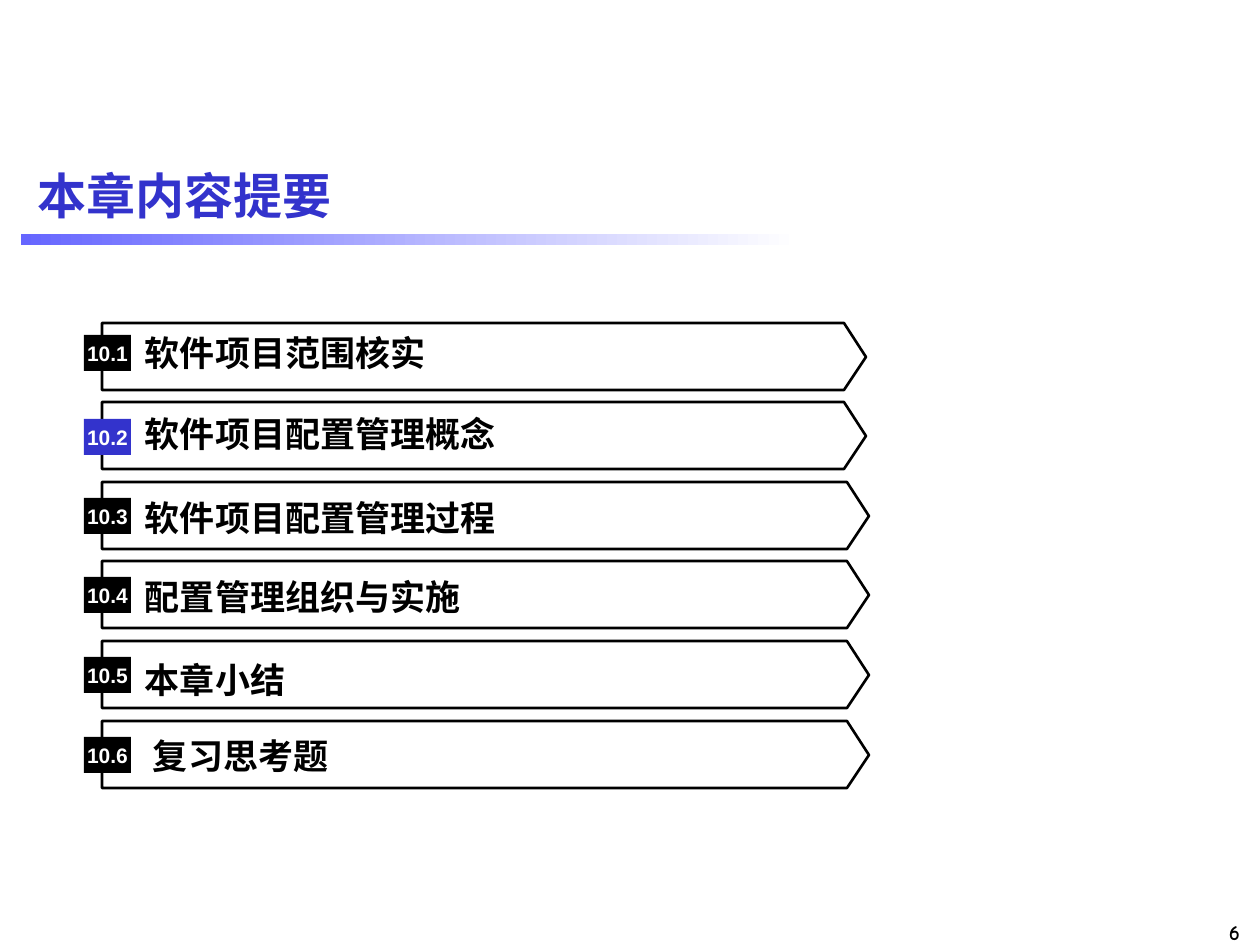
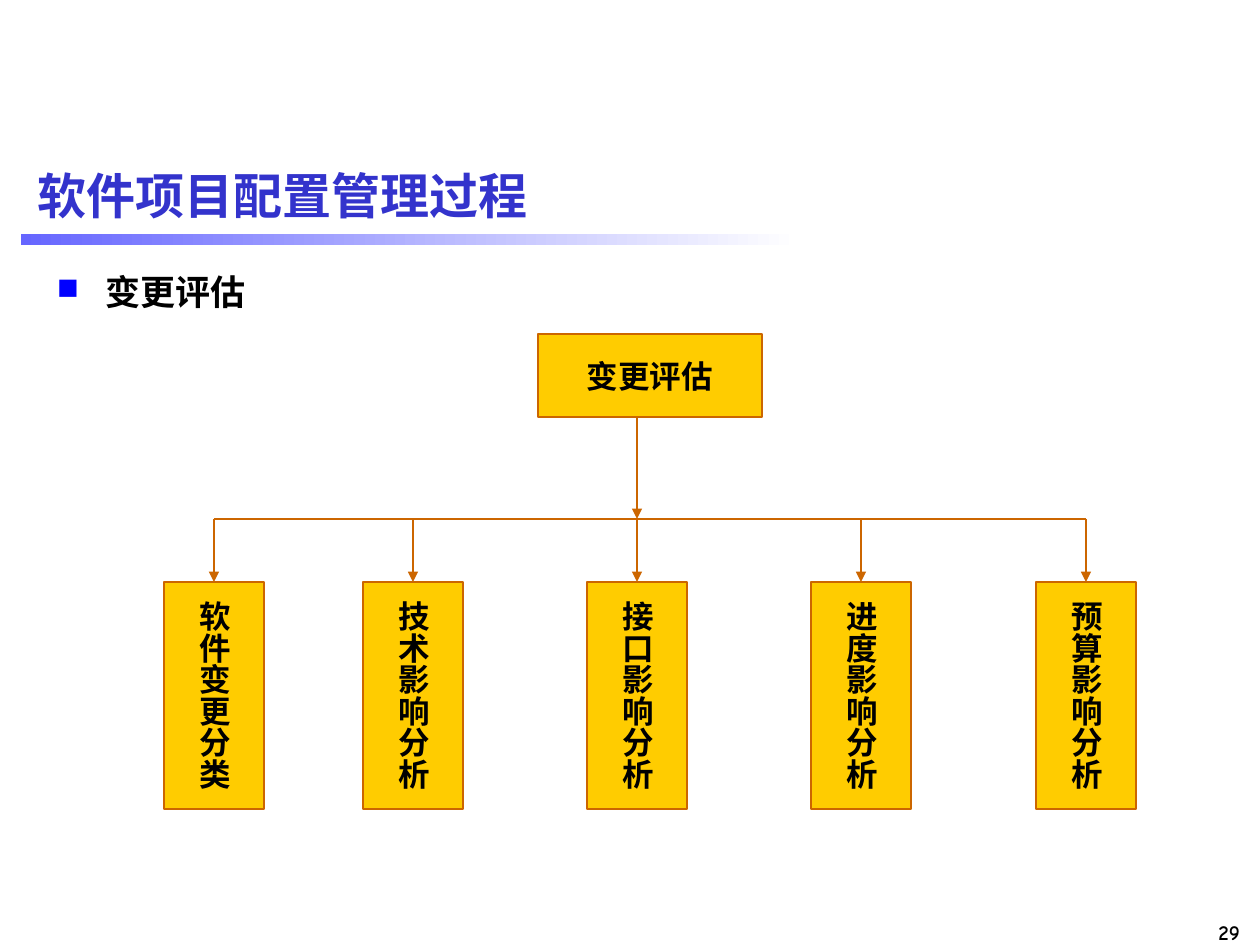
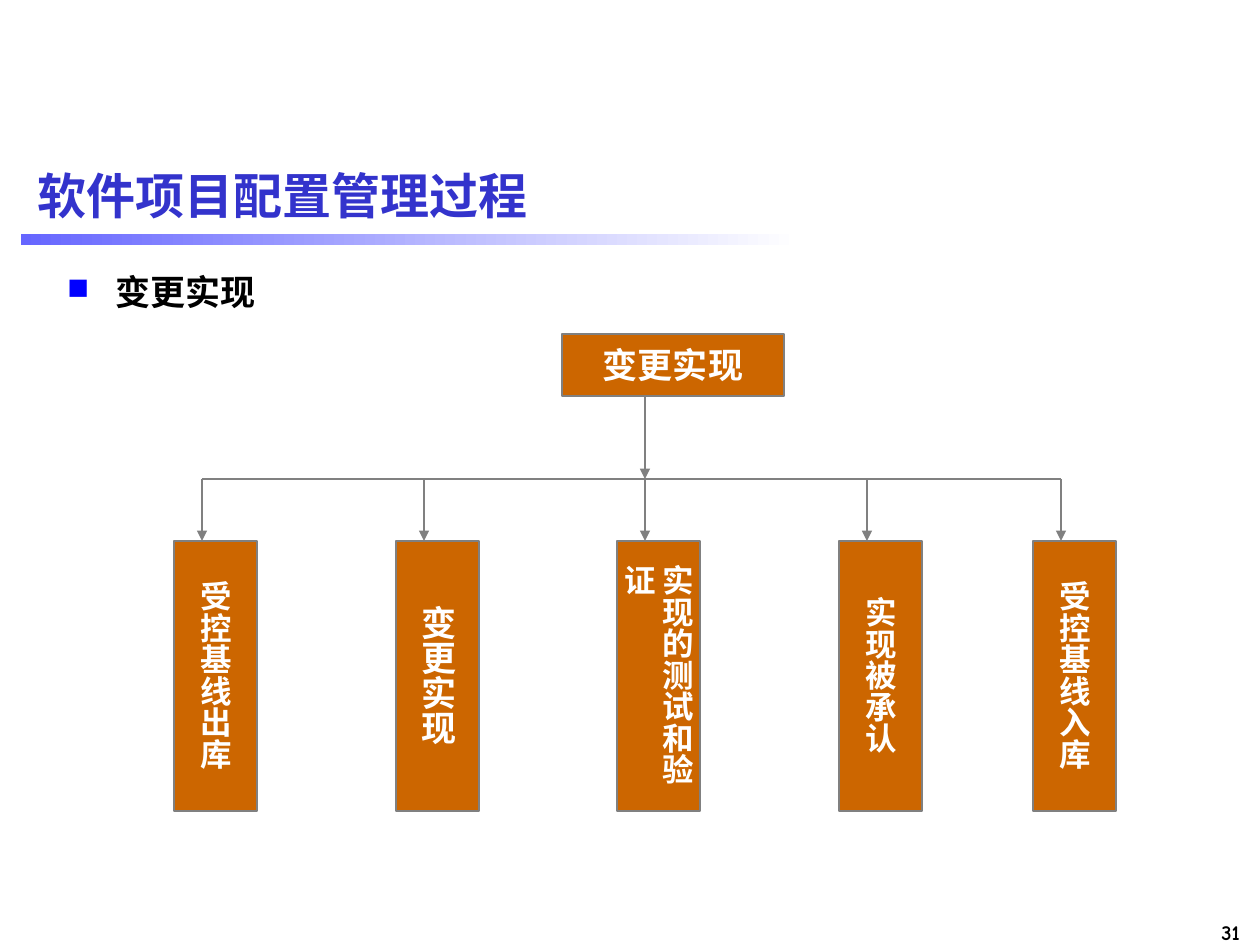
from lxml.etree import SubElement
from pptx import Presentation
from pptx.dml.color import RGBColor
from pptx.enum.shapes import MSO_CONNECTOR, MSO_SHAPE
from pptx.enum.text import MSO_ANCHOR, PP_ALIGN
from pptx.oxml.ns import qn
from pptx.util import Pt

PX = 914400 / 126
BLACK = RGBColor(0, 0, 0)
WHITE = RGBColor(255, 255, 255)
BLUE = RGBColor(0x33, 0x33, 0xCC)
BAND = RGBColor(0x66, 0x66, 0xFF)
GOLD = RGBColor(0xFF, 0xCC, 0)
RUST = RGBColor(0xCC, 0x66, 0)
GREY = RGBColor(0x80, 0x80, 0x80)
LEFT, MID, RIGHT = PP_ALIGN.LEFT, PP_ALIGN.CENTER, PP_ALIGN.RIGHT
HAN = "Noto Sans CJK SC"


def put(text, slide, spot, size=20, font="Arial", color=BLACK, align=LEFT,
        mid=True, pad=(0, 0, 0, 0), fill=None, line=None, vert=False,
        mark=False, wrap=True):
    """Add a text box, or a rectangle if a fill is given."""
    place = [round(n * PX) for n in spot]
    if fill is None:
        shape = slide.shapes.add_textbox(*place)
    else:
        shape = slide.shapes.add_shape(MSO_SHAPE.RECTANGLE, *place)
        shape.shadow.inherit = False
        shape.fill.solid()
        shape.fill.fore_color.rgb = fill
        if line is None:
            shape.line.fill.background()
        else:
            shape.line.color.rgb = line
            shape.line.width = Pt(0.75)
    frame = shape.text_frame
    frame.word_wrap = wrap
    frame.vertical_anchor = MSO_ANCHOR.MIDDLE if mid else MSO_ANCHOR.TOP
    (frame.margin_left, frame.margin_top, frame.margin_right,
     frame.margin_bottom) = [round(n * PX) for n in pad]
    if vert:
        frame._bodyPr.set("vert", "eaVert")
    para = frame.paragraphs[0]
    para.alignment = align
    if mark:
        props = para._p.get_or_add_pPr()
        props.set("marL", str(round(48 * PX)))
        props.set("indent", str(round(-48 * PX)))
        tint = SubElement(props, qn("a:buClr"))
        SubElement(tint, qn("a:srgbClr")).set("val", "0000FF")
        SubElement(props, qn("a:buSzPct")).set("val", "85000")
        SubElement(props, qn("a:buChar")).set("char", "■")
    run = para.add_run()
    run.text = text
    run.font.size = Pt(size)
    run.font.bold = True
    run.font.name = font
    run.font.color.rgb = color
    SubElement(run._r.rPr, qn("a:ea")).set("typeface", HAN)
    return shape


def start(title, page):
    """Add a slide with the shared page number, band and title."""
    slide = deck.slides.add_slide(deck.slide_layouts[6])
    put(page, slide, (1137, 914, 116, 38), size=12, font="Comic Neue",
        align=RIGHT, mid=False, pad=(13, 6, 13, 6), wrap=False)
    band = slide.shapes.add_shape(
        MSO_SHAPE.RECTANGLE, *[round(n * PX) for n in (21, 234, 778, 11)])
    band.shadow.inherit = False
    band.line.fill.background()
    band.fill.gradient()
    band.fill.gradient_angle = 0
    for stop, color in zip(band.fill.gradient_stops, (BAND, WHITE)):
        stop.color.rgb = color
    put(title, slide, (25, 145, 1211, 100), size=28, color=BLUE,
        pad=(13, 6, 13, 6))
    return slide


deck = Presentation()
deck.slide_width = round(1260 * PX)
deck.slide_height = round(945 * PX)

# Agenda: label, font, text top, text inset, tip, badge offset, badge fill
slide = start("本章内容提要", "6")
items = [
    ("软件项目范围核实", HAN, 331, 8, 866, 12, BLACK),
    ("软件项目配置管理概念", HAN, 412, 8, 866, 17, BLUE),
    ("软件项目配置管理过程", HAN, 496, 8, 869, 16, BLACK),
    ("配置管理组织与实施", HAN, 575, 8, 869, 16, BLACK),
    ("本章小结", HAN, 658, 8, 869, 16, BLACK),
    ("复习思考题", "Arial", 734, 16, 869, 16, BLACK),
]
for i, (label, font, y, inset, tip, drop, fill) in enumerate(items):
    top = 323 + i * 398 // 5
    pen = slide.shapes.build_freeform(102, top, scale=PX)
    pen.add_line_segments([(tip - 22, top), (tip, top + 34),
                           (tip - 22, top + 67), (102, top + 67)])
    arrow = pen.convert_to_shape()
    arrow.shadow.inherit = False
    arrow.fill.background()
    arrow.line.color.rgb = BLACK
    arrow.line.width = Pt(1.5)
    put(label, slide, (137, y, 680, 42), font=font, pad=(inset, 0, 0, 0))
    put(f"10.{i + 1}", slide, (84, top + drop, 47, 36), size=12,
        color=WHITE, align=MID, fill=fill)

# Trees: drop is the distance from a leaf's left side to its arrow
trees = [
    dict(page="29", head="变更评估", left=44, root=(538, 334, 224, 83),
         size=18, bar=519, top=582, wide=100, high=227, drop=50,
         fill=GOLD, line=RUST, ink=BLACK,
         leaves=[(164, "软件变更分类", 18), (363, "技术影响分析", 18),
                 (587, "接口影响分析", 18), (811, "进度影响分析", 18),
                 (1036, "预算影响分析", 18)]),
    dict(page="31", head="变更实现", left=54, root=(562, 334, 222, 62),
         size=20, bar=479, top=541, wide=83, high=270, drop=28,
         fill=RUST, line=GREY, ink=WHITE,
         leaves=[(174, "受控基线出库", 18), (396, "变更实现", 20),
                 (617, "实现的测试和验证", 18), (839, "实现被承认", 18),
                 (1033, "受控基线入库", 18)]),
]
for tree in trees:
    slide = start("软件项目配置管理过程", tree["page"])
    left, bar, top = tree["left"], tree["bar"], tree["top"]
    wide, high, drop = tree["wide"], tree["high"], tree["drop"]
    look = dict(font="Times New Roman", color=tree["ink"],
                fill=tree["fill"], line=tree["line"])
    put(tree["head"], slide, (left, 265, 1235 - left, 680), mid=False,
        pad=(13, 6, 13, 6), mark=True)
    put(tree["head"], slide, tree["root"], size=tree["size"], align=MID,
        pad=(13, 6, 13, 6), **look)

    # Leaves: the inset centres a column of at most seven signs
    stems = [x + drop for x, *_ in tree["leaves"]]
    foot = tree["root"][1] + tree["root"][3]
    lines = [(stems[0], bar, stems[-1], bar, None),
             (stems[2], foot, stems[2], bar, None)]
    for stem, (x, text, size) in zip(stems, tree["leaves"]):
        tall = min(len(text), 7) * size * 126 / 72
        inset = int((high - tall) / 2)
        leaf = put(text, slide, (x, top, wide, high), size=size,
                   vert=True, pad=(6, inset, 6, 13), **look)
        lines.append((stem, bar, stem, top, leaf))

    # Bar and arrows
    for x1, y1, x2, y2, leaf in lines:
        link = slide.shapes.add_connector(
            MSO_CONNECTOR.STRAIGHT,
            *[round(n * PX) for n in (x1, y1, x2, y2)])
        link.line.color.rgb = tree["line"]
        link.line.width = Pt(0.75)
        if x1 == x2:
            edge = link.line._get_or_add_ln()
            SubElement(edge, qn("a:tailEnd")).set("type", "triangle")
        SubElement(link._element.spPr, qn("a:effectLst"))
        if leaf is not None and drop * 2 == wide:
            link.end_connect(leaf, 0)

deck.save("out.pptx")
